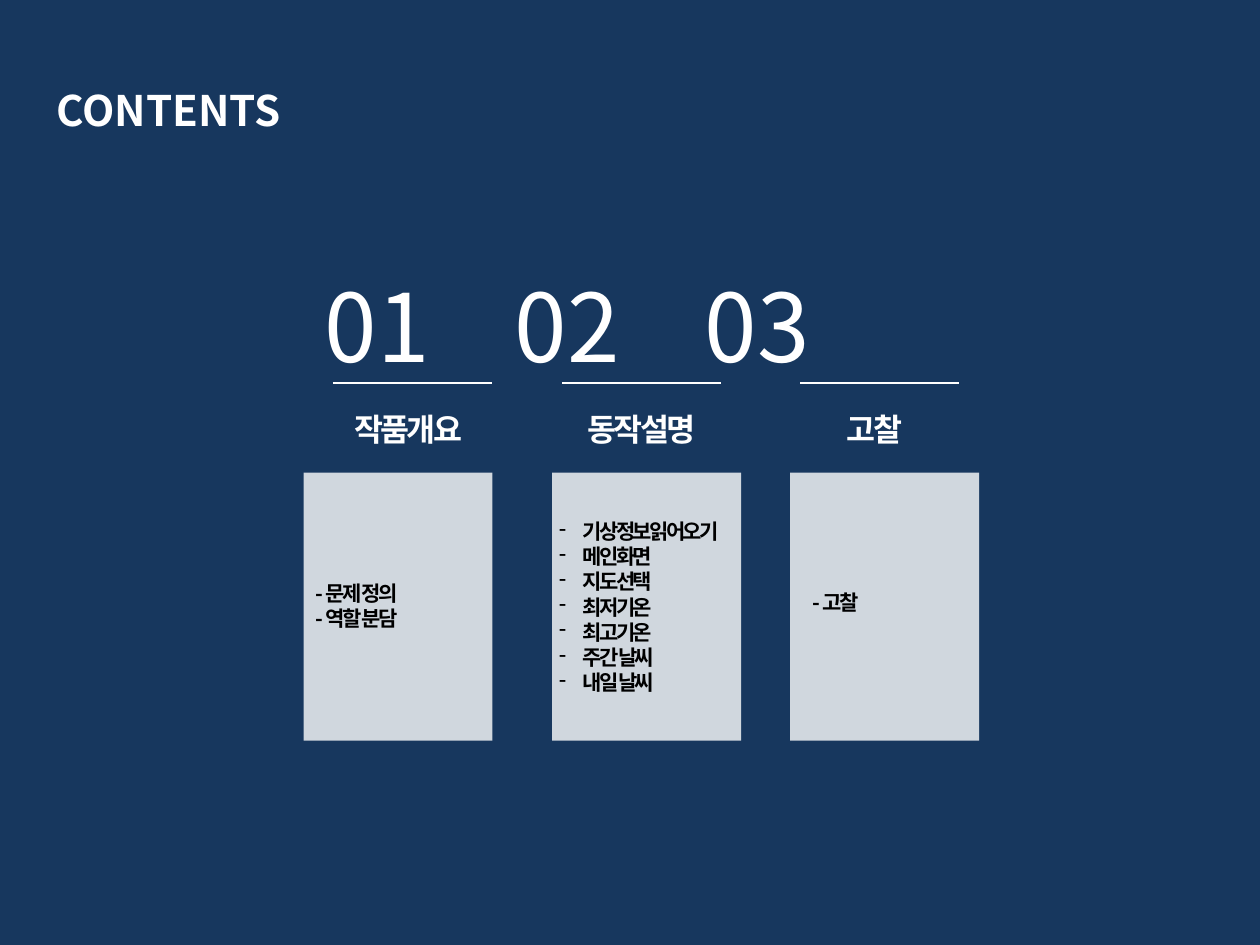
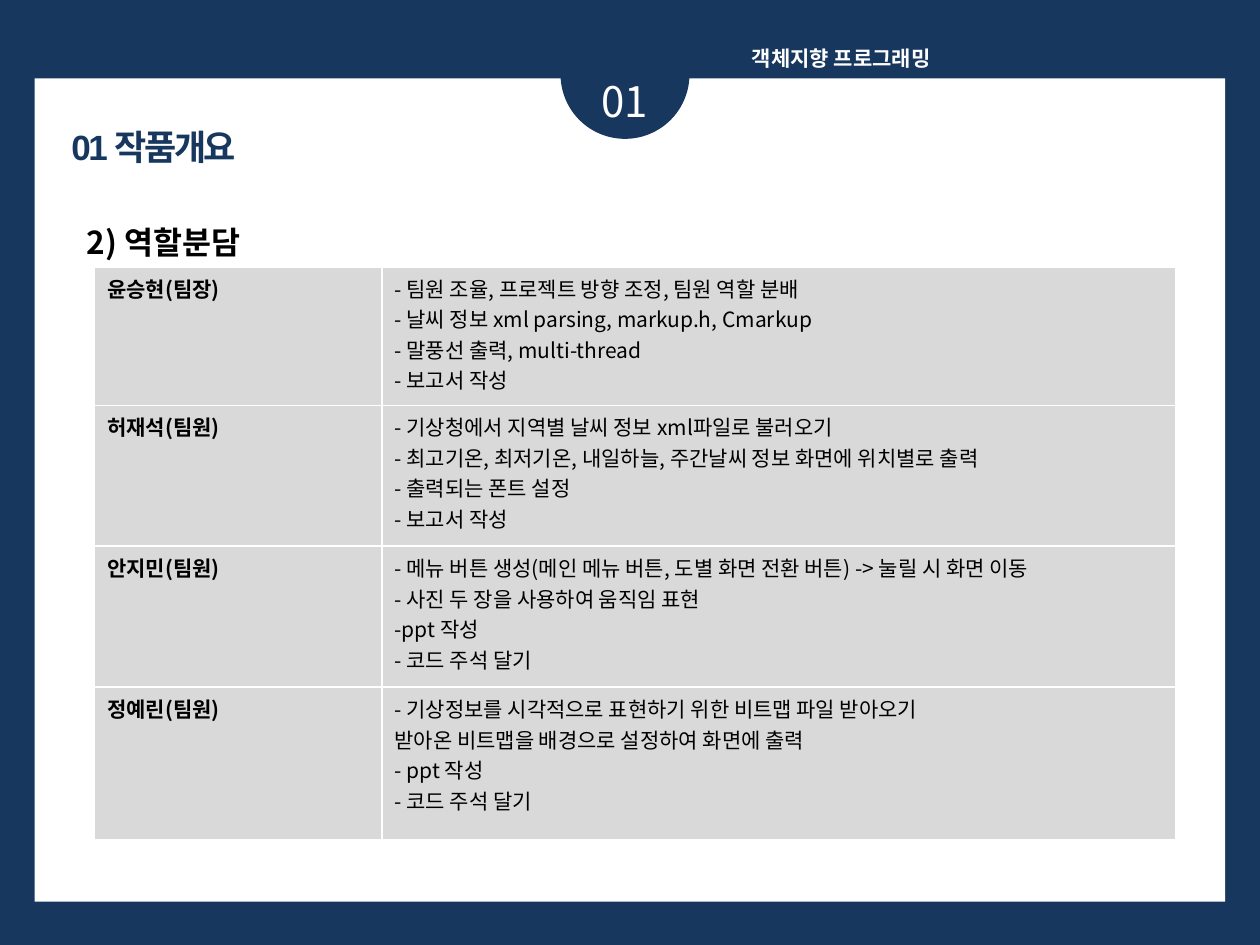
from lxml import etree
from pptx import Presentation
from pptx.dml.color import RGBColor
from pptx.enum.shapes import MSO_CONNECTOR, MSO_SHAPE
from pptx.enum.text import PP_ALIGN
from pptx.oxml.ns import qn
from pptx.util import Cm, Pt

STRAIGHT = MSO_CONNECTOR.STRAIGHT
RECTANGLE, OVAL = MSO_SHAPE.RECTANGLE, MSO_SHAPE.OVAL
CENTER, JUSTIFY = PP_ALIGN.CENTER, PP_ALIGN.JUSTIFY

NAVY, WHITE, BLACK, GREY = "17375E", "FFFFFF", "000000", "D9D9D9"
SANS, HEADING_FONT = "Noto Sans CJK KR", "Arial"

TITLE = {"size": Pt(24), "bold": True}
LARGE_NUMBER = {"size": Pt(54)}
BADGE_NUMBER = {"size": Pt(24)}
SECTION = {"size": Pt(18), "bold": True, "name": HEADING_FONT}
PAGE_TITLE = {"size": Pt(20), "bold": True, "name": HEADING_FONT}
SUBTITLE = {"size": Pt(18), "bold": True}
STRONG = {"size": Pt(12), "bold": True}
BODY = {"size": Pt(12), "bold": False}

# Number, heading, card left, rule inset, list left, list top, bulleted, items
CHAPTERS = [
    ("01", "작품개요", 6.12, 0.59, 6.12, 11.58, False,
     ["- 문제 정의", "- 역할 분담"]),
    ("02", "동작설명", 11.13, 0.2, 11.02, 10.33, True,
     ["기상정보읽어오기", "메인화면", "지도선택", "최저기온", "최고기온",
      "주간 날씨", "내일 날씨"]),
    ("03", "고찰", 15.93, 0.2, 16.13, 11.76, False, ["- 고찰"]),
]

ROLES = [
    ("윤승현(팀장)", ["- 팀원 조율, 프로젝트 방향 조정, 팀원 역할 분배",
                  "- 날씨 정보 xml parsing, markup.h, Cmarkup",
                  "- 말풍선 출력, multi-thread",
                  "- 보고서 작성"]),
    ("허재석(팀원)", ["- 기상청에서 지역별 날씨 정보 xml파일로 불러오기",
                  "- 최고기온, 최저기온, 내일하늘, 주간날씨 정보 화면에 위치별로 출력",
                  "- 출력되는 폰트 설정",
                  "- 보고서 작성"]),
    ("안지민(팀원)", ["- 메뉴 버튼 생성(메인 메뉴 버튼, 도별 화면 전환 버튼) -> 눌릴 시 화면 이동",
                  "- 사진 두 장을 사용하여 움직임 표현",
                  "-ppt 작성",
                  "- 코드 주석 달기"]),
    ("정예린(팀원)", ["- 기상정보를 시각적으로 표현하기 위한 비트맵 파일 받아오기",
                  "받아온 비트맵을 배경으로 설정하여 화면에 출력",
                  "- ppt 작성",
                  "- 코드 주석 달기"]),
]


def color(value):
    return RGBColor.from_string(value)


def paint(fill, value):
    fill.solid()
    fill.fore_color.rgb = color(value)


class Deck:
    """Holds the shared style and the slide being built; lengths are in cm."""

    def __init__(self):
        self.presentation = Presentation()
        self.presentation.slide_width = Cm(25.4)
        self.presentation.slide_height = Cm(19.05)
        self.slide = None

    def add_slide(self):
        layout = self.presentation.slide_layouts[6]
        self.slide = self.presentation.slides.add_slide(layout)
        paint(self.slide.background.fill, NAVY)

    def fill_frame(self, frame, lines, style, text_color, align=None, tight=False,
                   bullet=False, leading=None):
        """Fill a frame; leading is a fixed line height in multiples of the size."""
        for index, line in enumerate(lines):
            paragraph = frame.paragraphs[0] if index == 0 else frame.add_paragraph()
            paragraph.alignment = align
            if bullet:
                properties = paragraph._p.get_or_add_pPr()
                properties.set("marL", str(Cm(0.48)))
                properties.set("indent", str(Cm(-0.48)))
                etree.SubElement(properties, qn("a:buChar")).set("char", "-")
            if leading:
                paragraph.line_spacing = Pt(leading * style["size"].pt)
            run = paragraph.add_run()
            run.text = line
            for name, value in ({"name": SANS} | style).items():
                setattr(run.font, name, value)
            run.font.color.rgb = color(text_color)
            properties = run._r.get_or_add_rPr()
            etree.SubElement(properties, qn("a:ea")).set("typeface", SANS)
            if tight:
                properties.set("spc", "-150")

    def text(self, left, top, width, height, lines, style, text_color=WHITE,
             leading=1.28, **options):
        box = self.slide.shapes.add_textbox(Cm(left), Cm(top), Cm(width), Cm(height))
        box.text_frame.word_wrap = True
        self.fill_frame(box.text_frame, lines, style, text_color, leading=leading,
                        **options)

    def shape(self, kind, left, top, width, height, fill, opacity=None):
        shape = self.slide.shapes.add_shape(kind, Cm(left), Cm(top), Cm(width), Cm(height))
        shape.shadow.inherit = False
        shape.line.fill.background()
        paint(shape.fill, fill)
        if opacity:
            fill_color = shape._element.spPr.find(".//" + qn("a:srgbClr"))
            etree.SubElement(fill_color, qn("a:alpha")).set("val", str(opacity * 1000))

    def rule(self, left, top, width):
        line = self.slide.shapes.add_connector(
            STRAIGHT, Cm(left), Cm(top), Cm(left + width), Cm(top))
        line.line.color.rgb = color(WHITE)
        line.line.width = Pt(0.75)
        etree.SubElement(line._element.spPr, qn("a:effectLst"))

    def cell(self, cell, lines, style):
        paint(cell.fill, GREY)
        self.fill_frame(cell.text_frame, lines, style, BLACK)
        properties = cell._tc.get_or_add_tcPr()
        for index, side in enumerate(("lnL", "lnR", "lnT", "lnB")):
            border = etree.Element(qn("a:" + side), w=str(Pt(1)))
            solid = etree.SubElement(border, qn("a:solidFill"))
            etree.SubElement(solid, qn("a:srgbClr")).set("val", WHITE)
            properties.insert(index, border)

    def table(self, left, top, widths, heights, rows):
        table = self.slide.shapes.add_table(
            len(heights), len(widths), Cm(left), Cm(top),
            Cm(sum(widths)), Cm(sum(heights))).table
        for column, width in zip(table.columns, widths):
            column.width = Cm(width)
        for row, height, (member, tasks) in zip(table.rows, heights, rows):
            row.height = Cm(height)
            self.cell(row.cells[0], [member], STRONG)
            self.cell(row.cells[1], tasks, BODY)


def build_contents(deck):
    deck.add_slide()
    deck.text(0.89, 1.52, 11.6, 1.25, ["CONTENTS"], TITLE)
    for index, chapter in enumerate(CHAPTERS):
        number, heading, card_left, inset, list_left, list_top, bullet, items = chapter
        deck.shape(RECTANGLE, card_left, 9.53, 3.81, 5.4, WHITE, opacity=80)
        deck.text(6.3 + 3.83 * index, 5.13, 3.5, 2.5, [number], LARGE_NUMBER)
        deck.rule(card_left + inset, 7.72, 3.2)
        deck.text(5.93 + 4.7 * index, 8.1, 4.6, 1, [heading], SECTION,
                  align=CENTER, tight=True)
        deck.text(list_left, list_top, 3.9, 0.25 + 0.51 * len(items), items, STRONG,
                  BLACK, leading=1.2, tight=True, bullet=bullet)


def build_roles(deck):
    deck.add_slide()
    deck.shape(RECTANGLE, 0.7, 1.58, 24, 16.6, WHITE)
    deck.shape(OVAL, 11.3, 0.2, 2.6, 2.6, NAVY)
    deck.text(11.1, 1.32, 3, 1.27, ["01"], BADGE_NUMBER, align=CENTER)
    deck.text(14.91, 0.76, 10, 0.77, ["객체지향 프로그래밍"], STRONG, align=JUSTIFY)
    deck.text(1.5, 4.32, 9.2, 1.02, ["2) 역할분담"], SUBTITLE, BLACK)
    deck.table(1.91, 5.38, [5.79, 16], [2.79, 2.84, 2.84, 3.07], ROLES)
    deck.text(1.19, 2.34, 4.8, 1.1, ["01 작품개요"], PAGE_TITLE, NAVY, tight=True)


def main():
    deck = Deck()
    build_contents(deck)
    build_roles(deck)
    deck.presentation.save("out.pptx")


if __name__ == "__main__":
    main()
